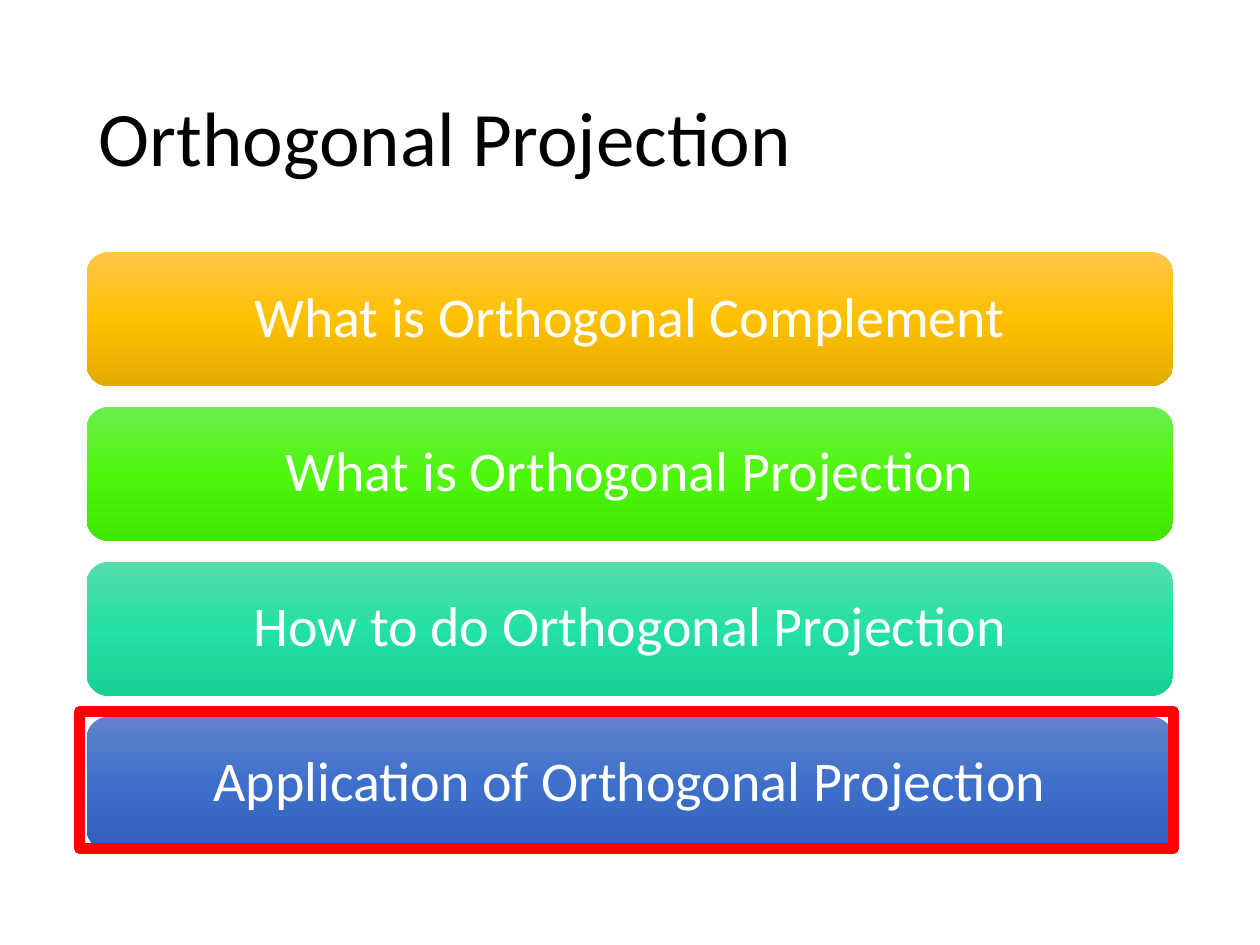
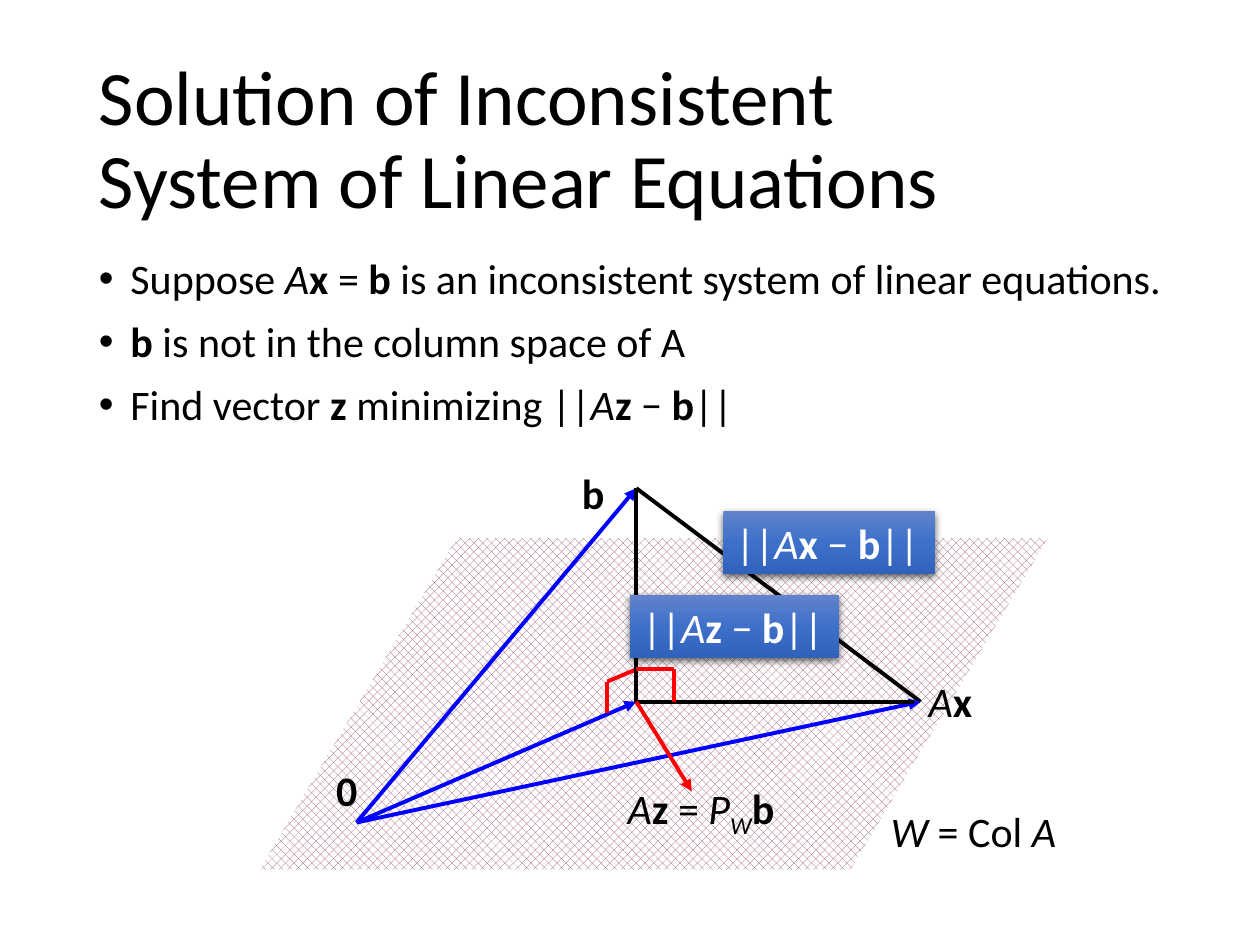
from lxml import etree
from pptx import Presentation
from pptx.dml.color import RGBColor
from pptx.enum.dml import MSO_PATTERN
from pptx.enum.shapes import MSO_CONNECTOR, MSO_SHAPE
from pptx.enum.text import MSO_ANCHOR, MSO_AUTO_SIZE, PP_ALIGN
from pptx.oxml import parse_xml
from pptx.oxml.ns import nsdecls, qn
from pptx.util import Pt

RECT, ROUND = MSO_SHAPE.RECTANGLE, MSO_SHAPE.ROUNDED_RECTANGLE
PLANE, STRAIGHT = MSO_SHAPE.PARALLELOGRAM, MSO_CONNECTOR.STRAIGHT
PCT50 = MSO_PATTERN.PERCENT_50
TOP, MIDDLE, CENTER = MSO_ANCHOR.TOP, MSO_ANCHOR.MIDDLE, PP_ALIGN.CENTER
GROW = MSO_AUTO_SIZE.SHAPE_TO_FIT_TEXT

FONT = "Calibri"
BLACK = RGBColor(0, 0, 0)
WHITE = RGBColor(255, 255, 255)
RED = RGBColor(255, 0, 0)
VECTOR = RGBColor(0, 0, 255)
MESH = RGBColor(0x95, 0x4F, 0x72)


def ramp(*codes):
    """Turn hex codes into gradient colours."""
    return [RGBColor.from_string(c) for c in codes]


GOLD = ramp("FFC64B", "FFC000", "E3AB00")
GREEN = ramp("6BEF4D", "4FF50D", "41E500")
TEAL = ramp("55DDAB", "25E0A4", "18D095")
BLUE = ramp("6183CB", "3E70CA", "3062BB")

TITLE_BOX = (49.5, 29, 621, 104)
BODY_BOX = (49.5, 144, 621, 342.5)
DIAGRAM_BOX = (148, 263, 486, 234)

TOPICS = [
    ("What is Orthogonal Complement", GOLD),
    ("What is Orthogonal Projection", GREEN),
    ("How to do Orthogonal Projection", TEAL),
    ("Application of Orthogonal Projection", BLUE),
]


def norm(vector):
    """Return the runs for the distance between A times a vector and b."""
    return [("||", ""), ("A", "i"), (vector + " ", "b"), ("− ", ""), ("b", "b"), ("||", "")]


BULLETS = [
    [("Suppose ", ""), ("A", "i"), ("x ", "b"), ("= ", ""), ("b", "b"),
     (" is an inconsistent system of linear equations.", "")],
    [("b", "b"), (" is not in the column space of A", "")],
    [("Find vector ", ""), ("z", "b"), (" minimizing ", "")] + norm("z"),
]


def apply(target, **formats):
    """Set each given format value on the target."""
    for name, value in formats.items():
        setattr(target, name, value)


def frame(box):
    """Convert a box in points to lengths."""
    return [Pt(v) for v in box]


def write(p, runs, size, color=BLACK):
    """Add styled runs: b is bold, i is italic, s is subscript."""
    for text, style in runs:
        for n, line in enumerate(text.split("\n")):
            if n:
                p.add_line_break()
            r = p.add_run()
            r.text = line
            apply(r.font, name=FONT, size=Pt(size), bold="b" in style, italic="i" in style)
            r.font.color.rgb = color
            if "s" in style:
                r.font._element.set("baseline", "-25000")


def add_text(slide, box, runs=(), size=24, **formats):
    """Add a text box and return its frame."""
    tf = slide.shapes.add_textbox(*frame(box)).text_frame
    apply(tf, **{"word_wrap": True, **formats})
    write(tf.paragraphs[0], runs, size)
    return tf


def add_plain(slide, kind, box):
    """Add a preset shape without line or shadow."""
    sp = slide.shapes.add_shape(kind, *frame(box))
    sp.shadow.inherit = False
    sp.line.fill.background()
    return sp


def fill_gradient(sp, colors):
    """Fill a shape from top to bottom through three colours."""
    sp.fill.gradient()
    sp.fill.gradient_angle = 270
    stops = sp._element.spPr.find(qn("a:gradFill")).find(qn("a:gsLst"))
    for gs in list(stops):
        stops.remove(gs)
    for pos, color in zip((0, 50000, 100000), colors):
        gs = etree.SubElement(stops, qn("a:gs"), pos=str(pos))
        etree.SubElement(gs, qn("a:srgbClr"), val=str(color))


def add_line(slide, start, end, color, arrow=False):
    """Draw a straight line, with an arrowhead at its end if asked."""
    cx = slide.shapes.add_connector(STRAIGHT, *frame(start + end))
    cx.line.width = Pt(2.25)
    cx.line.color.rgb = color
    if arrow:
        etree.SubElement(cx.line._get_or_add_ln(), qn("a:tailEnd"), type="triangle")
    etree.SubElement(cx._element.spPr, qn("a:effectLst"))


def add_title(slide, text):
    """Place the slide title."""
    tf = add_text(slide, TITLE_BOX, [(text, "")], 44, vertical_anchor=MIDDLE)
    tf.paragraphs[0].line_spacing = 0.9


def add_topics(slide, box, current):
    """Stack the topic bars and frame the current one."""
    x, y, w, h = box
    bar, pitch = 76.5, 88.5
    for n, (text, colors) in enumerate(TOPICS):
        sp = add_plain(slide, ROUND, (x, y + n * pitch, w, bar))
        fill_gradient(sp, colors)
        apply(sp.text_frame, word_wrap=True, vertical_anchor=MIDDLE)
        p = sp.text_frame.paragraphs[0]
        apply(p, alignment=CENTER, line_spacing=0.9)
        write(p, [(text, "")], 32, WHITE)
    marker = add_plain(slide, RECT, (x - 4, y + current * pitch - 3, w + 4, bar + 2))
    marker.fill.background()
    marker.line.color.rgb = RED
    marker.line.width = Pt(6)


def add_bullets(slide, box):
    """Write the bulleted statements."""
    tf = add_text(slide, box, vertical_anchor=TOP)
    for n, runs in enumerate(BULLETS):
        p = tf.add_paragraph() if n else tf.paragraphs[0]
        apply(p, line_spacing=0.9, space_before=Pt(10))
        pPr = p._p.get_or_add_pPr()
        pPr.set("marL", str(Pt(18)))
        pPr.set("indent", str(Pt(-18)))
        etree.SubElement(pPr, qn("a:buFont"), typeface="Arial")
        etree.SubElement(pPr, qn("a:buChar"), char="•")
        write(p, runs, 24)


def add_tag(slide, box, runs):
    """Add a shadowed blue tag naming a distance."""
    sp = add_plain(slide, RECT, box)
    fill_gradient(sp, BLUE)
    effects = sp._element.spPr.find(qn("a:effectLst"))
    effects.append(parse_xml(
        f'<a:outerShdw {nsdecls("a")} blurRad="{Pt(4.5)}" dist="{Pt(1.5)}" dir="5400000" '
        'algn="ctr" rotWithShape="0"><a:srgbClr val="000000"><a:alpha val="63000"/>'
        '</a:srgbClr></a:outerShdw>'))
    apply(sp.text_frame, word_wrap=False, auto_size=GROW, vertical_anchor=TOP)
    p = sp.text_frame.paragraphs[0]
    p.alignment = PP_ALIGN.LEFT
    write(p, runs, 24, WHITE)


def add_diagram(slide, box):
    """Draw the projection of b on the plane W."""
    x, y, w, h = box

    def at(dx, dy, *size):
        return (x + dx, y + dy, *size)

    plane = add_plain(slide, PLANE, at(0.3, 44.5, 450.5, 189.5))
    plane.adjustments[0] = 0.595
    plane.fill.patterned()
    plane.fill.pattern = PCT50
    plane.fill.fore_color.rgb = MESH
    plane.fill.back_color.rgb = WHITE

    origin, foot = at(55.8, 207), at(215.6, 138)
    b, ax = at(215.6, 16), at(378, 138)
    corner = at(215.6, 119.5)
    left_in, left_out = at(199, 126.5), at(199, 144.5)
    right_in, right_out = at(237.2, 119.5), at(237.2, 138)
    for start, end, color, arrow in [
        (origin, foot, VECTOR, True),
        (ax, b, BLACK, False),
        (origin, b, VECTOR, True),
        (origin, ax, VECTOR, True),
        (left_in, corner, RED, False),
        (left_in, left_out, RED, False),
        (foot, at(374, 138), BLACK, False),
        (b, foot, BLACK, False),
        (corner, right_in, RED, False),
        (right_in, right_out, RED, False),
        (foot, at(247.3, 189.2), RED, True),
    ]:
        add_line(slide, start, end, color, arrow)

    add_tag(slide, at(212, 77, 119.5, 36), norm("z"))
    add_tag(slide, at(265.3, 29.3, 121, 36), norm("x"))
    for dx, dy, width, wrap, runs in [
        (37, 170.5, 31, True, [("0", "b")]),
        (177.5, 0.5, 27.5, False, [("b", "b")]),
        (375.5, 119.5, 39.5, False, [("A", "i"), ("x", "b")]),
        (354, 193.5, 130, True, [("W", "i"), (" = Col ", ""), ("A", "i")]),
        (203.5, 180.5, 101, False,
         [("A", "i"), ("z ", "b"), ("= ", ""), ("P", "i"), ("W", "is"), ("b", "b")]),
    ]:
        add_text(slide, at(dx, dy, width, 36), runs, word_wrap=wrap, auto_size=GROW)


def main():
    """Build and save the two slides."""
    prs = Presentation()
    apply(prs, slide_width=Pt(720), slide_height=Pt(540))
    outline, solution = [prs.slides.add_slide(prs.slide_layouts[6]) for _ in range(2)]
    add_title(outline, "Orthogonal Projection")
    add_topics(outline, BODY_BOX, 3)
    add_title(solution, "Solution of Inconsistent \nSystem of Linear Equations")
    add_bullets(solution, BODY_BOX)
    add_diagram(solution, DIAGRAM_BOX)
    prs.save("out.pptx")


if __name__ == "__main__":
    main()
